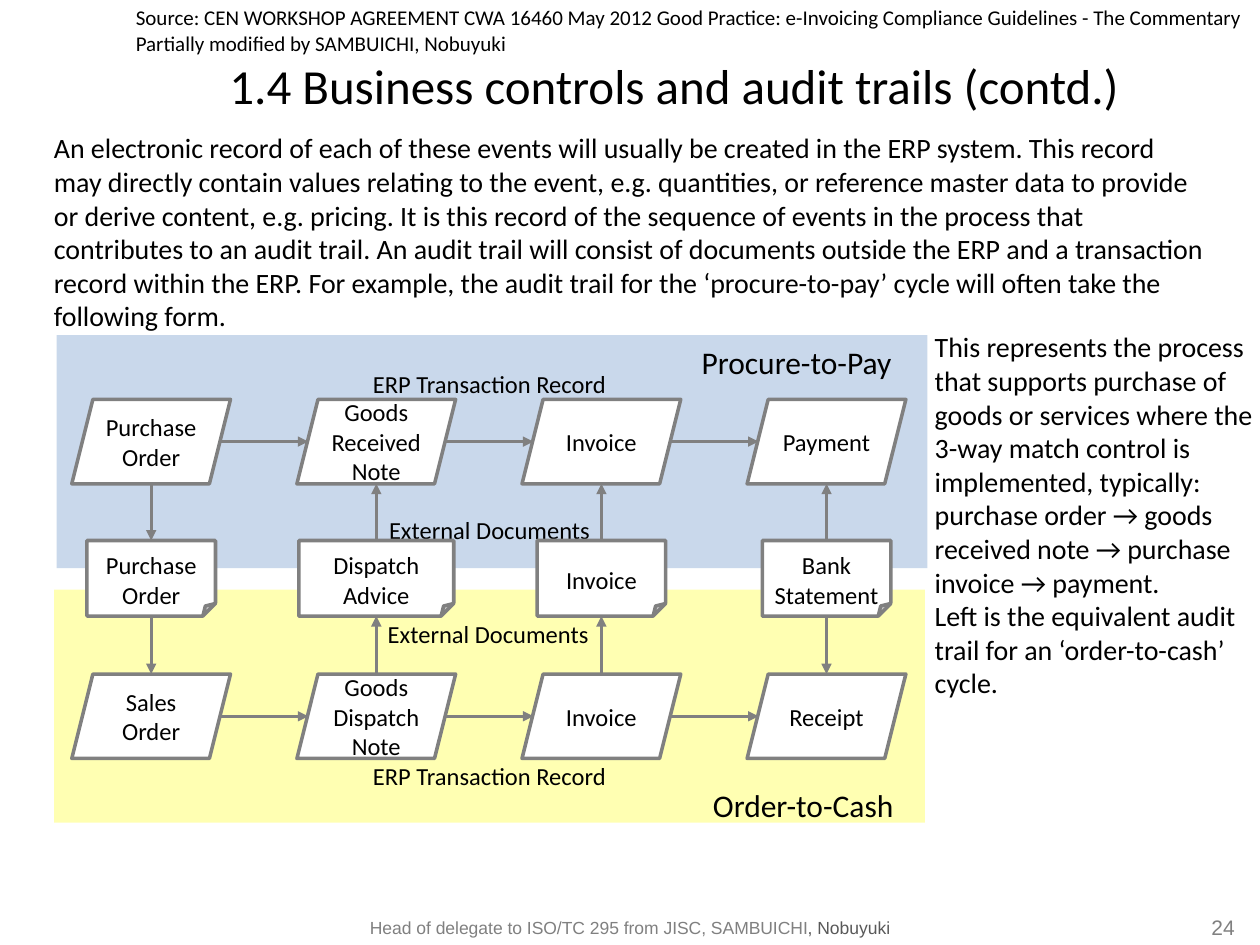
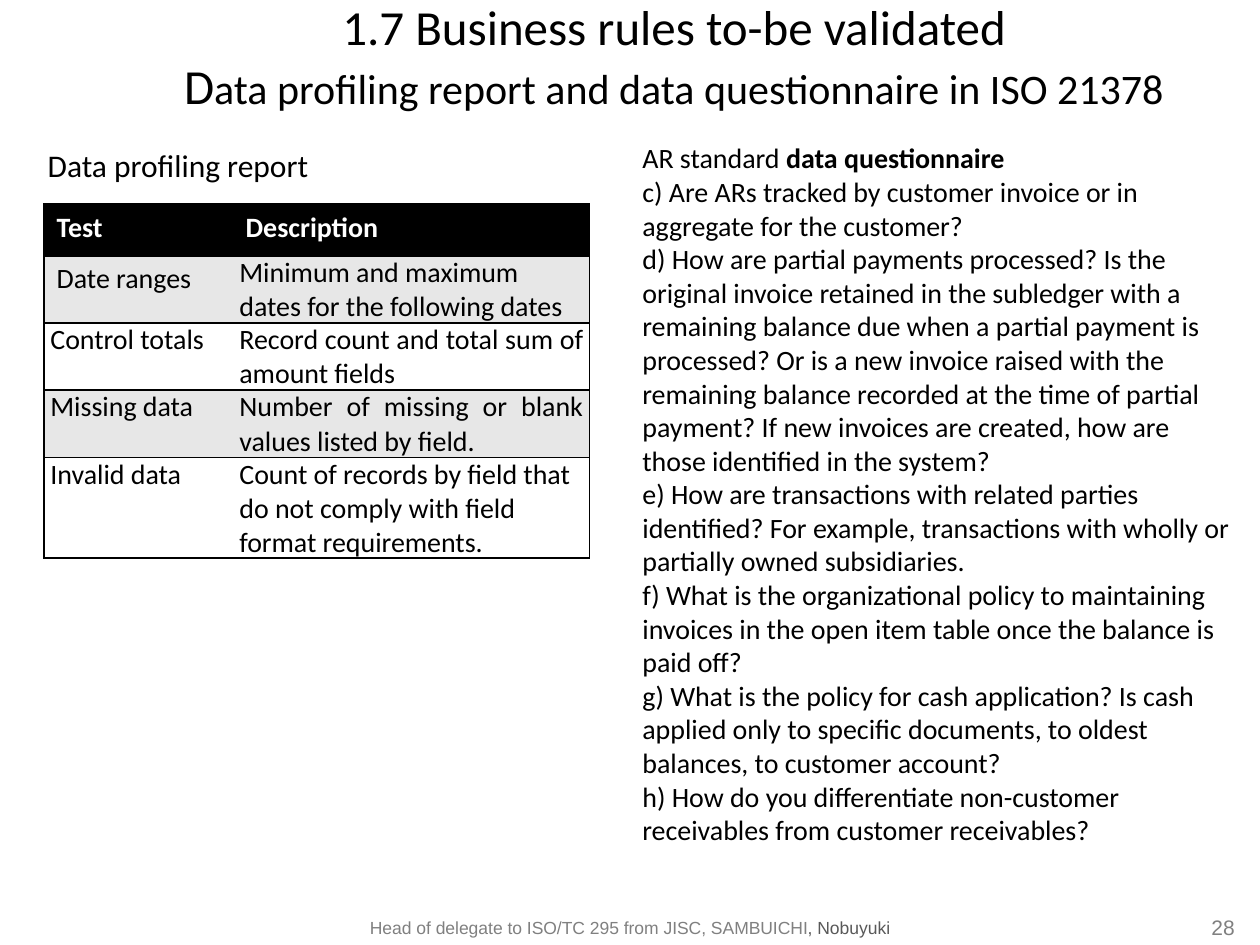
from lxml import etree
from pptx import Presentation
from pptx.dml.color import RGBColor
from pptx.enum import shapes, text
from pptx.oxml.ns import qn
from pptx.util import Inches, Pt

BLACK, WHITE, GREY, DARK_GREY = "000000", "FFFFFF", "808080", "595959"
BLUE, YELLOW, STRIPE = "4F81BD", "FFFF00", "E7E7E7"
HEADING_FONT, FOOTER_FONT = "Calibri", "Arial"
LEFT, CENTER, RIGHT, JUSTIFY = (
    text.PP_ALIGN.LEFT, text.PP_ALIGN.CENTER, text.PP_ALIGN.RIGHT, text.PP_ALIGN.JUSTIFY)
TOP, MIDDLE, BOTTOM = (
    text.MSO_ANCHOR.TOP, text.MSO_ANCHOR.MIDDLE, text.MSO_ANCHOR.BOTTOM)
DEFAULT_INSETS = (0.1, 0.05, 0.1, 0.05)
TIGHT_INSETS = (0.05, 0, 0.05, 0)

FOOTER = [("Head of delegate to ISO/TC 295 from JISC, SAMBUICHI", {}),
          (", Nobuyuki", {"color": DARK_GREY})]

AUDIT_TITLE = "1.4 Business controls and audit trails (contd.)"
SOURCE = [
    "Source: CEN WORKSHOP AGREEMENT CWA 16460 May 2012 Good Practice: "
    "e-Invoicing Compliance Guidelines - The Commentary",
    "Partially modified by SAMBUICHI, Nobuyuki",
]
AUDIT_INTRO = (
    "An electronic record of each of these events will usually be created in the ERP system. "
    "This record may directly contain values relating to the event, e.g. quantities, or "
    "reference master data to provide or derive content, e.g. pricing. It is this record of "
    "the sequence of events in the process that contributes to an audit trail. An audit trail "
    "will consist of documents outside the ERP and a transaction record within the ERP. For "
    "example, the audit trail for the ‘procure-to-pay’ cycle will often take the following form."
)
AUDIT_REMARKS = [
    "This represents the process that supports purchase of goods or services where the 3-way "
    "match control is implemented, typically: purchase order → goods received note → purchase "
    "invoice → payment.",
    "Left is the equivalent audit trail for an ‘order-to-cash’ cycle.",
]
BANDS = [(0.43, 4.68, YELLOW), (0.45, 2.66, BLUE)]
BACK_LABELS = [
    ("ERP Transaction Record", (2.85, 2.88, 2.07, 0.28)),
    ("External Documents", (2.84, 4.04, 2.09, 0.28)),
    ("ERP Transaction Record", (2.85, 5.99, 2.07, 0.28)),
]
FRONT_LABELS = [
    ("External Documents", (2.83, 4.86, 2.09, 0.28), 14),
    ("Procure-to-Pay", (5.47, 2.67, 1.72, 0.34), 18),
    ("Order-to-Cash", (5.56, 6.19, 1.65, 0.34), 18),
]
PURCHASE_RECORDS = ["Purchase Order", "Goods Received Note", "Invoice", "Payment"]
SALES_RECORDS = ["Sales Order", "Goods Dispatch Note", "Invoice", "Receipt"]
DOCUMENTS = [("Purchase Order", 1.02), ("Dispatch Advice", 1.23),
             ("Invoice", 1.02), ("Bank Statement", 1.02)]
PURCHASE_TO_DOCUMENT = [True, False, False, False]
DOCUMENT_TO_SALES = [True, False, False, True]
RECORD_LEFT, RECORD_PITCH, RECORD_WIDTH, RECORD_HEIGHT = 0.57, 5.36 / 3, 1.26, 0.67
PURCHASE_TOP, DOCUMENT_TOP, SALES_TOP, DOCUMENT_HEIGHT = 3.17, 4.29, 5.35, 0.6
SLANT_INSET = 0.09

RULES_TITLE = [("1.7 Business rules to-be validated\nD", {}),
               ("ata profiling report and data questionnaire in ISO 21378", {"size": 24})]
REPORT_HEADING = "Data profiling report"
REPORT_ROWS = [
    (("Test", LEFT, DEFAULT_INSETS), ("Description", LEFT, DEFAULT_INSETS)),
    (("Date ranges", LEFT, DEFAULT_INSETS),
     ("Minimum and maximum dates for the following dates", LEFT, TIGHT_INSETS)),
    (("Control totals", JUSTIFY, TIGHT_INSETS),
     ("Record count and total sum of amount fields", JUSTIFY, TIGHT_INSETS)),
    (("Missing data", JUSTIFY, TIGHT_INSETS),
     ("Number of missing or blank values listed by field.", JUSTIFY, TIGHT_INSETS)),
    (("Invalid data", JUSTIFY, TIGHT_INSETS),
     ("Count of records by field that do not comply with field format requirements.",
      LEFT, TIGHT_INSETS)),
]
REPORT_COLUMNS = [1.5, 2.83]
REPORT_ROW_HEIGHT = 0.41
QUESTIONNAIRE = [
    [("AR standard ", {}), ("data questionnaire", {"bold": True})],
    "c) Are ARs tracked by customer invoice or in aggregate for the customer?",
    "d) How are partial payments processed? Is the original invoice retained in the subledger "
    "with a remaining balance due when a partial payment is processed? Or is a new invoice "
    "raised with the remaining balance recorded at the time of partial payment? If new "
    "invoices are created, how are those identified in the system?",
    "e) How are transactions with related parties identified? For example, transactions with "
    "wholly or partially owned subsidiaries.",
    "f) What is the organizational policy to maintaining invoices in the open item table once "
    "the balance is paid off?",
    "g) What is the policy for cash application? Is cash applied only to specific documents, "
    "to oldest balances, to customer account?",
    "h) How do you differentiate non-customer receivables from customer receivables?",
]


def rgb(value):
    return RGBColor.from_string(value)


def place(*lengths):
    return [Inches(length) for length in lengths]


def add_spans(para, content, **style):
    spans = [(content, {})] if isinstance(content, str) else content
    for words, changes in spans:
        look = {"size": 16, "font": HEADING_FONT, "color": BLACK, "bold": False,
                **style, **changes}
        for number, line in enumerate(words.split("\n")):
            if number:
                para.add_line_break()
            span = para.add_run()
            span.text = line
            span.font.size = Pt(look["size"])
            span.font.name = look["font"]
            span.font.bold = look["bold"]
            span.font.color.rgb = rgb(look["color"])


def fill_frame(frame, paragraphs, align=LEFT, anchor=TOP, insets=DEFAULT_INSETS,
               wrap=True, **style):
    frame.word_wrap = wrap
    frame.vertical_anchor = anchor
    frame.margin_left, frame.margin_top, frame.margin_right, frame.margin_bottom = place(*insets)
    for number, content in enumerate(paragraphs):
        para = frame.add_paragraph() if number else frame.paragraphs[0]
        para.alignment = align
        add_spans(para, content, **style)


def add_text(page, area, paragraphs, **options):
    box = page.shapes.add_textbox(*place(*area))
    fill_frame(box.text_frame, paragraphs, **options)


def add_page(deck, title, number):
    page = deck.slides.add_slide(deck.slide_layouts[6])
    add_text(page, (9.25, 7.18, 0.55, 0.31), [number], align=RIGHT,
             insets=(0.08, 0.08, 0, 0), size=12, font=FOOTER_FONT, color=GREY)
    add_text(page, (2.6, 7.23, 4.8, 0.27), [FOOTER], align=CENTER, anchor=MIDDLE,
             size=10, font=FOOTER_FONT, color=GREY)
    add_text(page, (0.98, 0.3, 8.74, 0.61), [title], align=CENTER, anchor=BOTTOM,
             insets=(0, 0, 0, 0), size=28)
    return page


def add_band(page, left, top, color):
    band = page.shapes.add_shape(shapes.MSO_SHAPE.RECTANGLE, *place(left, top, 6.91, 1.85))
    band.shadow.inherit = False
    band.fill.solid()
    band.fill.fore_color.rgb = rgb(color)
    band.line.fill.background()
    shade = band._element.spPr.find(qn("a:solidFill"))[0]
    etree.SubElement(shade, qn("a:alpha"), val="30000")


def add_node(page, kind, area, label, top_inset=0.04):
    node = page.shapes.add_shape(kind, *place(*area))
    node.shadow.inherit = False
    node.fill.solid()
    node.fill.fore_color.rgb = rgb(WHITE)
    node.line.color.rgb = rgb(GREY)
    node.line.width = Pt(2)
    fill_frame(node.text_frame, [label], align=CENTER, anchor=MIDDLE,
               insets=(0.04, top_inset, 0.04, 0.04), size=14)
    return node


def add_arrow(page, start, end):
    arrow = page.shapes.add_connector(shapes.MSO_CONNECTOR.STRAIGHT, *place(*start, *end))
    arrow.line.color.rgb = rgb(GREY)
    arrow.line.width = Pt(1.5)
    etree.SubElement(arrow.line._get_or_add_ln(), qn("a:tailEnd"), type="triangle")
    etree.SubElement(arrow._element.spPr, qn("a:effectLst"))
    return arrow


def link_document(page, document, site, center, record_edge, toward_record):
    document_edge = DOCUMENT_TOP + (DOCUMENT_HEIGHT if site == 2 else 0)
    ends = [(center, document_edge), (center, record_edge)]
    if toward_record:
        add_arrow(page, *ends).begin_connect(document, site)
    else:
        add_arrow(page, *reversed(ends)).end_connect(document, site)


def add_records(page, labels, top):
    middle = top + RECORD_HEIGHT / 2
    for column, label in enumerate(labels):
        left = RECORD_LEFT + column * RECORD_PITCH
        add_node(page, shapes.MSO_SHAPE.PARALLELOGRAM,
                 (left, top, RECORD_WIDTH, RECORD_HEIGHT), label)
        if column:
            start = left - RECORD_PITCH + RECORD_WIDTH - SLANT_INSET
            add_arrow(page, (start, middle), (left + SLANT_INSET, middle))


def add_flow(page):
    for band in BANDS:
        add_band(page, *band)
    for label, area in BACK_LABELS:
        add_text(page, area, [label], align=CENTER, wrap=False, size=14)
    add_records(page, PURCHASE_RECORDS, PURCHASE_TOP)
    add_records(page, SALES_RECORDS, SALES_TOP)
    for column, (label, width) in enumerate(DOCUMENTS):
        center = RECORD_LEFT + column * RECORD_PITCH + RECORD_WIDTH / 2
        document = add_node(page, shapes.MSO_SHAPE.FOLDED_CORNER,
                            (center - width / 2, DOCUMENT_TOP, width, DOCUMENT_HEIGHT),
                            label, top_inset=0.16)
        link_document(page, document, 0, center, PURCHASE_TOP + RECORD_HEIGHT,
                      not PURCHASE_TO_DOCUMENT[column])
        link_document(page, document, 2, center, SALES_TOP, DOCUMENT_TO_SALES[column])
    for label, area, size in FRONT_LABELS:
        add_text(page, area, [label], align=CENTER if size == 14 else LEFT,
                 wrap=False, size=size)


def set_borders(cell, visible):
    properties = cell._tc.get_or_add_tcPr()
    for position, side in enumerate("LRTB"):
        border = etree.Element(qn(f"a:ln{side}"), w=str(Pt(1)))
        if side in visible:
            paint = etree.SubElement(border, qn("a:solidFill"))
            etree.SubElement(paint, qn("a:srgbClr"), val=BLACK)
        else:
            etree.SubElement(border, qn("a:noFill"))
        properties.insert(position, border)


def add_report(page):
    frame = page.shapes.add_table(
        len(REPORT_ROWS), len(REPORT_COLUMNS),
        *place(0.35, 1.62, sum(REPORT_COLUMNS), REPORT_ROW_HEIGHT * len(REPORT_ROWS)))
    table = frame.table
    for column, width in zip(table.columns, REPORT_COLUMNS):
        column.width = Inches(width)
    for row, entries in enumerate(REPORT_ROWS):
        table.rows[row].height = Inches(REPORT_ROW_HEIGHT)
        header = row == 0
        shade = BLACK if header else STRIPE if row % 2 else WHITE
        for column, (words, align, insets) in enumerate(entries):
            cell = table.cell(row, column)
            cell.margin_left, cell.margin_top, cell.margin_right, cell.margin_bottom = place(*insets)
            cell.fill.solid()
            cell.fill.fore_color.rgb = rgb(shade)
            para = cell.text_frame.paragraphs[0]
            para.alignment = align
            add_spans(para, words, bold=header, color=WHITE if header else BLACK)
            set_borders(cell, "RTB" if column else "LTB")


def main():
    deck = Presentation()
    deck.slide_width, deck.slide_height = place(10, 7.5)

    page = add_page(deck, AUDIT_TITLE, "24")
    add_text(page, (0.33, 0.99, 9.34, 1.72), [AUDIT_INTRO])
    add_flow(page)
    add_text(page, (0.98, -0.01, 9.33, 0.5), SOURCE, size=12)
    add_text(page, (7.32, 2.57, 2.79, 3.06), AUDIT_REMARKS)

    page = add_page(deck, RULES_TITLE, "28")
    add_report(page)
    add_text(page, (5, 1.07, 4.88, 6.13), QUESTIONNAIRE)
    add_text(page, (0.28, 1.11, 2.52, 0.4), [REPORT_HEADING], size=18)

    deck.save("out.pptx")


if __name__ == "__main__":
    main()
